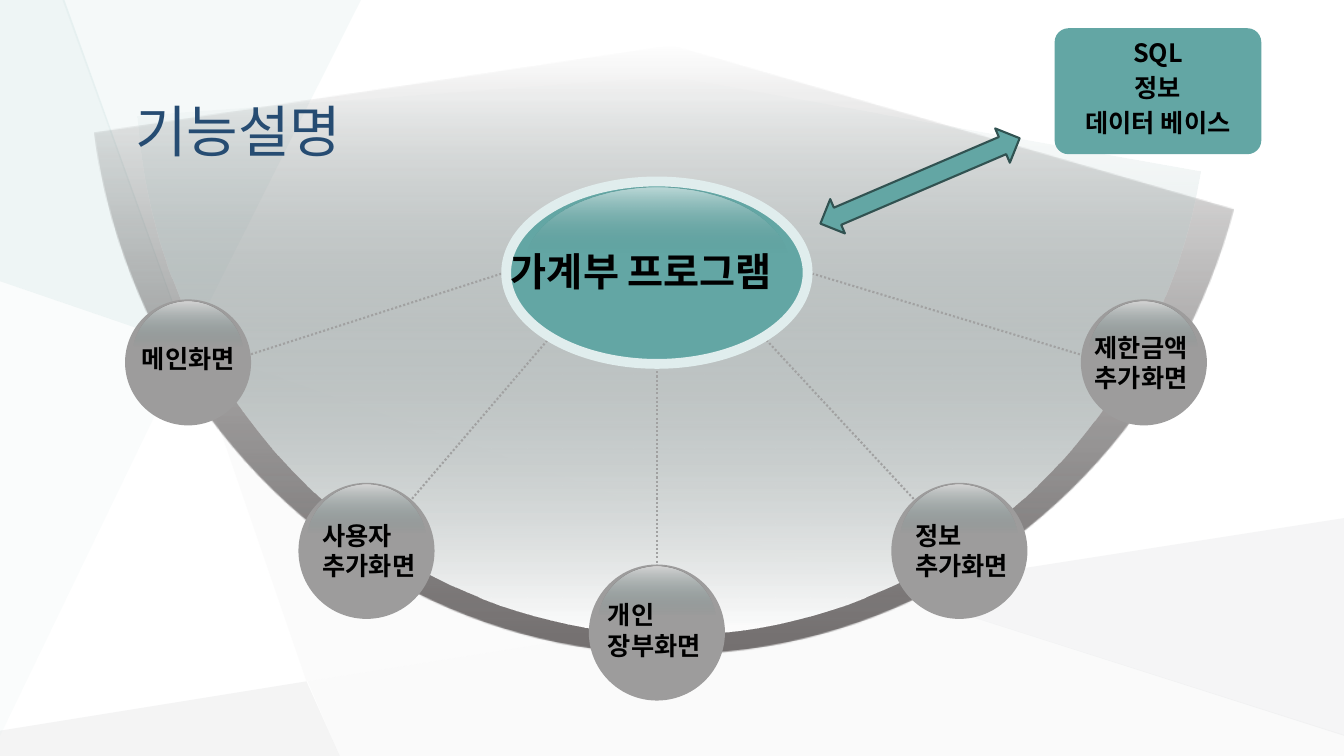
from lxml import etree
from pptx import Presentation
from pptx.dml.color import RGBColor
from pptx.enum.dml import MSO_LINE
from pptx.enum.shapes import MSO_CONNECTOR, MSO_SHAPE
from pptx.enum.text import MSO_ANCHOR, PP_ALIGN
from pptx.oxml.ns import qn
from pptx.util import Inches, Pt

ARC, OVAL = MSO_SHAPE.ARC, MSO_SHAPE.OVAL
ROUND, ARROW = MSO_SHAPE.ROUNDED_RECTANGLE, MSO_SHAPE.LEFT_RIGHT_ARROW
STRAIGHT, DOT = MSO_CONNECTOR.STRAIGHT, MSO_LINE.ROUND_DOT
TOP, MIDDLE = MSO_ANCHOR.TOP, MSO_ANCHOR.MIDDLE
LEFT, CENTER = PP_ALIGN.LEFT, PP_ALIGN.CENTER

FONT = "Noto Sans CJK KR"
TEAL, GRAY, PALE, BLACK = "63A6A4", "9D9C9C", "E0EDED", "000000"
GLOSS = [(0, "FFFFFF", 56), (41, "487F7D", 0)]


def color(code):
    return RGBColor.from_string(code)


def add(parent, tag, **attrs):
    node = etree.SubElement(parent, qn(tag))
    for key, value in attrs.items():
        node.set(key, str(value))
    return node


class Board:
    def __init__(self, slide):
        self.slide = slide
        self.shapes = slide.shapes

    def style(self, shape, fill, line=None, width=0):
        shape.shadow.inherit = False
        if fill:
            shape.fill.solid()
            shape.fill.fore_color.rgb = color(fill)
        if line:
            shape.line.color.rgb = color(line)
            shape.line.width = Pt(width)
        else:
            shape.line.fill.background()
        return shape

    def shape(self, kind, box, fill=None, line=None, width=0, adjust=(), turn=0):
        shape = self.shapes.add_shape(kind, *map(Inches, box))
        for i, value in enumerate(adjust):
            shape.adjustments[i] = value
        shape.rotation = turn
        return self.style(shape, fill, line, width)

    def blend(self, kind, box, stops, angle, adjust=(), turn=0):
        shape = self.shape(kind, box, adjust=adjust, turn=turn)
        grad = etree.Element(qn("a:gradFill"), rotWithShape="1")
        items = add(grad, "a:gsLst")
        for place, code, alpha in stops:
            stop = add(items, "a:gs", pos=place * 1000)
            tint = add(stop, "a:srgbClr", val=code)
            add(tint, "a:alpha", val=alpha * 1000)
        add(grad, "a:lin", ang=angle * 60000, scaled=0)
        shape._element.spPr.find(qn("a:prstGeom")).addnext(grad)

    def facet(self, points, fill, alpha):
        spots = [(Inches(x), Inches(y)) for x, y in points]
        build = self.shapes.build_freeform(*spots[0])
        build.add_line_segments(spots[1:], close=True)
        shape = self.style(build.convert_to_shape(), fill)
        tint = shape._element.spPr.find(qn("a:solidFill"))[0]
        add(tint, "a:alpha", val=alpha * 1000)

    def spoke(self, start, end):
        line = self.shapes.add_connector(STRAIGHT, *map(Inches, start + end))
        line.line.color.rgb = color("A1A1A1")
        line.line.width = Pt(1.5)
        line.line.dash_style = DOT
        add(line._element.spPr, "a:effectLst")

    def words(self, shape, text, size, code=BLACK, bold=True, anchor=TOP,
              align=LEFT, gap=0):
        frame = shape.text_frame
        frame.word_wrap = True
        frame.vertical_anchor = anchor
        frame.text = text
        for para in frame.paragraphs:
            para.alignment = align
            para.space_before = Pt(gap)
            font = para.font
            font.size, font.bold = Pt(size), bold
            font.color.rgb = color(code)
            font.name = FONT
            add(font._element, "a:ea", typeface=FONT)

    def label(self, box, text, size=18, anchor=TOP):
        self.words(self.shapes.add_textbox(*map(Inches, box)), text, size,
                   anchor=anchor)

    def title(self, box, text):
        shape = self.shapes.title
        shape.left, shape.top, shape.width, shape.height = map(Inches, box)
        self.words(shape, text, 40, "264C72", False)
        self.shapes._spTree.append(shape._element)

    def ball(self, left, top, size):
        self.shape(OVAL, (left, top, size, size), GRAY)
        inner = size * 0.875
        side = left + (size - inner) / 2
        self.blend(OVAL, (side, top + 0.02, inner, inner), GLOSS, 90)


def main():
    deck = Presentation()
    deck.slide_width, deck.slide_height = Inches(13.33), Inches(7.5)
    board = Board(deck.slides.add_slide(deck.slide_layouts[5]))

    facets = [
        ([(1.9, 3.44), (3.04, 6.76), (8.79, 5.85)], "F3F2F2", 26),
        ([(3.04, 6.76), (0, 7.25), (0, 7.5), (3.37, 7.5)], "B6B8BA", 15),
        ([(3.58, 0), (0.62, 0), (1.86, 3.43)], PALE, 31),
        ([(13.33, 5.14), (8.79, 5.85), (13.33, 7.3)], "C6C8CA", 17),
        ([(8.79, 5.85), (3.05, 6.76), (3.37, 7.5), (13.33, 7.5),
          (13.33, 7.29)], "B6B8BA", 6),
        ([(0.64, 0), (0, 0), (0, 2.79), (1.87, 3.43)], "C1DBDB", 27),
        ([(0, 2.79), (0, 7.3), (1.87, 3.43)], "C1DBDB", 8),
    ]
    for facet in facets:
        board.facet(*facet)

    board.blend(ARC, (0.64, -5.33, 12.05, 11.57),
                [(0, "747070", 100), (50, "3A3838", 0)], 180,
                (171.76, 48.84), 90)
    board.blend(ARC, (1.13, -4.56, 11.08, 10.63),
                [(0, "FFFFFF", 100), (100, "487F7D", 0)], 180,
                (168.11, 51.46), 90)

    spokes = [
        ((10.79, 3.54), (8.01, 2.7)),
        ((2.41, 3.54), (5.02, 2.7)),
        ((9.09, 4.98), (7.57, 3.34)),
        ((6.52, 3.6), (6.52, 5.62)),
        ((4.06, 4.98), (5.46, 3.34)),
    ]
    for spoke in spokes:
        board.spoke(*spoke)

    screens = [
        ((1.24, 2.97, 1.25), (1.31, 3.36, 1.37, 0.4), "메인화면"),
        ((2.96, 4.79, 1.35), (3.1, 5.11, 1.22, 0.7), "사용자\n추가화면"),
        ((5.84, 5.6, 1.35), (5.93, 5.9, 1.18, 0.7), "개인\n장부화면"),
        ((8.84, 4.79, 1.35), (8.98, 5.11, 1.2, 0.7), "정보 추가화면"),
        ((10.72, 2.97, 1.25), (10.76, 3.25, 1.2, 0.7), "제한금액 추가화면"),
    ]
    for ball, box, text in screens:
        board.ball(*ball)
        board.label(box, text)

    board.shape(OVAL, (5.02, 1.8, 2.99, 1.81), TEAL, PALE, 7)
    board.blend(OVAL, (5.2, 1.86, 2.63, 1.59), GLOSS, 90)
    board.label((4.97, 2.4, 3.1, 0.57), "가계부 프로그램", 28, MIDDLE)
    board.title((1.24, 0.91, 6.67, 0.77), "기능설명")

    store = board.shape(ROUND, (10.46, 0.28, 2.05, 1.25), TEAL, adjust=[0.11])
    board.words(store, "SQL\n정보\n데이터 베이스", 18, align=CENTER, gap=3.6)
    board.shape(ARROW, (8.05, 1.61, 2.15, 0.37), TEAL, "315251", 1.5,
                (0.5, 0.5), 336.8)
    deck.save("out.pptx")


if __name__ == "__main__":
    main()
